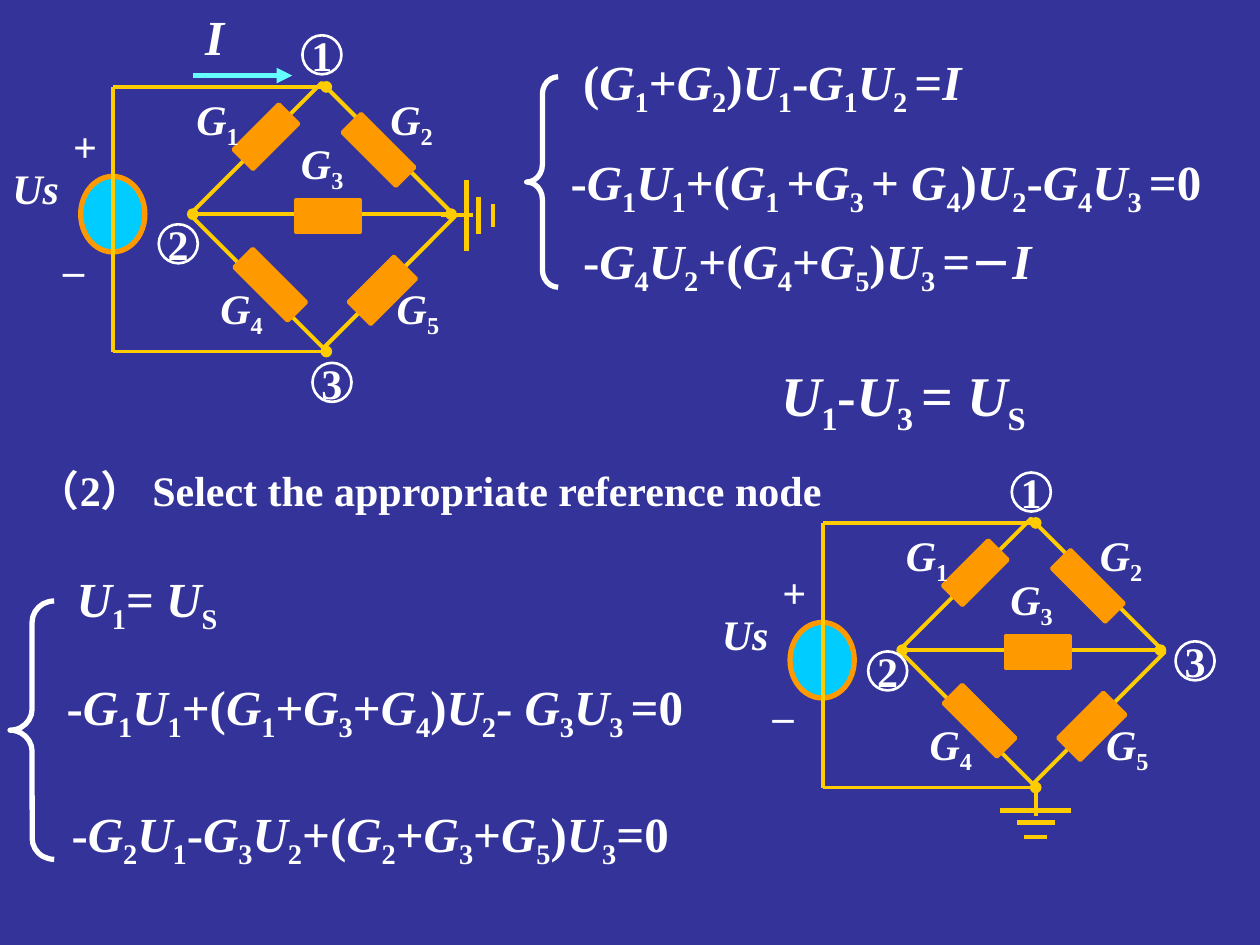
from itertools import groupby

from lxml import etree
from pptx import Presentation
from pptx import util as u
from pptx.dml.color import RGBColor
from pptx.enum import shapes, text
from pptx.oxml import ns

COLORS = {
    "ground": "333399", "ink": "FFFFFF", "wire": "FFCC00",
    "resistor": "FF9900", "source": "00CCFF", "current": "66FFFF",
}
FONT = "Times New Roman"
UNIT = 2.54  # centimetres per layout unit


def size(value):
    return u.Cm(value * UNIT)


def color(name):
    return RGBColor.from_string(COLORS[name])


def math_spans(formula):
    """Split a formula into (text, subscript, italic, wide) pieces; "_" lowers the next character."""
    marked, lowered = [], False
    for char in formula:
        if char == "_":
            lowered = True
            continue
        marked.append((char, (lowered, char.isalpha() and not lowered, char == "－")))
        lowered = False
    for style, group in groupby(marked, key=lambda item: item[1]):
        yield ("".join(char for char, _ in group), *style)


def write(shape, content, points=24, math=True, wrap=False, grow=True,
          align=text.PP_ALIGN.LEFT, anchor=text.MSO_ANCHOR.TOP):
    frame = shape.text_frame
    frame.word_wrap = wrap
    frame.vertical_anchor = anchor
    frame.auto_size = (text.MSO_AUTO_SIZE.SHAPE_TO_FIT_TEXT if grow
                       else text.MSO_AUTO_SIZE.NONE)
    para = frame.paragraphs[0]
    para.alignment = align
    pieces = math_spans(content) if math else [(content, False, False, False)]
    for piece, lowered, italic, wide in pieces:
        span = para.add_run()
        span.text = piece
        font = span.font
        font.name, font.bold, font.italic = FONT, True, italic
        font.size = u.Pt(24 if wide else points)
        font.color.rgb = color("ink")
        if lowered:
            font._element.set("baseline", "-25000")


class Painter:
    def __init__(self, page):
        self.page = page
        self.centred = {"align": text.PP_ALIGN.CENTER, "anchor": text.MSO_ANCHOR.MIDDLE}

    def title(self, content, place):
        box = self.page.shapes.title
        box.left, box.top, box.width, box.height = map(size, place)
        box.fill.solid()
        box.fill.fore_color.rgb = color("ground")
        write(box, content, math=False, wrap=True)

    def label(self, content, place, **style):
        write(self.page.shapes.add_textbox(*map(size, place)), content, **style)

    def shape(self, kind, place, line, fill=None, weight=2.25, turn=0):
        item = self.page.shapes.add_shape(kind, *map(size, place))
        item.shadow.inherit = False
        item.rotation = turn
        item.line.color.rgb = color(line)
        item.line.width = u.Pt(weight)
        if fill:
            item.fill.solid()
            item.fill.fore_color.rgb = color(fill)
        else:
            item.fill.background()
        return item

    def line(self, start, end, stroke="wire", weight=2.25, head=None, tail=None):
        item = self.page.shapes.add_connector(
            shapes.MSO_CONNECTOR.STRAIGHT, *map(size, (*start, *end)))
        item.line.color.rgb = color(stroke)
        item.line.width = u.Pt(weight)
        outline = item.line._get_or_add_ln()
        for tag, end_kind in (("a:headEnd", head), ("a:tailEnd", tail)):
            if end_kind:
                etree.SubElement(outline, ns.qn(tag)).set("type", end_kind)
        etree.SubElement(item._element.spPr, ns.qn("a:effectLst"))

    def brace(self, place, curl):
        item = self.shape(shapes.MSO_SHAPE.LEFT_BRACE, place, "ink", weight=3)
        item.adjustments[0] = curl
        item.adjustments[1] = 0.5

    def node(self, number, x, y):
        ring = self.shape(shapes.MSO_SHAPE.OVAL, (x, y, 0.31, 0.31), "ink", weight=1.5)
        write(ring, number, grow=False, **self.centred)

    def earth(self, x, y, down):
        """Draw the reference symbol, pointing down or to the right from x, y."""
        def point(along, across):
            return (x + across, y + along) if down else (x + along, y + across)

        self.line(point(0, 0), point(0.25, 0))
        for along, half, weight in ((0.2, 0.28, 3), (0.3, 0.15, 3), (0.41, 0.09, 2.25)):
            self.line(point(along, -half), point(along, half), weight=weight)

    def circuit(self, dx, dy, source_drop, nodes, earth, down):
        def moved(x, y, *extent):
            return (x + dx, y + dy, *extent)

        def lowered(x, y, *extent):
            return moved(x, y + source_drop, *extent)

        rect = shapes.MSO_SHAPE.RECTANGLE
        self.shape(rect, moved(1.81, 0.97, 1.5, 1.48), "wire", turn=45)
        for y in (0.69, 2.79):
            self.line(moved(2.59, y), moved(0.9, y), head="oval")
        self.line(moved(0.9, 0.69), moved(0.9, 2.79))
        self.line(moved(1.53, 1.7), moved(3.58, 1.7), head="oval", tail="oval")
        self.earth(*earth, down)

        resistors = (
            ("G_1", (2, 0.83, 0.22, 0.51), 45, (1.46, 0.69)),
            ("G_2", (2.9, 0.89, 0.21, 0.6), 315, (3, 0.69)),
            ("G_3", (2.35, 1.59, 0.51, 0.25), 0, (2.29, 1.04)),
            ("G_4", (2.04, 1.96, 0.21, 0.6), 315, (1.65, 2.19)),
            ("G_5", (2.91, 2.05, 0.25, 0.51), 45, (3.05, 2.19)),
        )
        for _, place, turn, _ in resistors:
            self.shape(rect, moved(*place), "resistor", "resistor", turn=turn)
        for name, _, _, spot in resistors:
            self.label(name, moved(*spot, 0.55, 0.5))

        self.shape(shapes.MSO_SHAPE.OVAL, lowered(0.64, 1.4, 0.51, 0.6),
                   "resistor", "source", weight=3)
        self.line(moved(0.9, 0.99), moved(0.9, 2.49))
        self.label("Us", lowered(0, 1.24, 0.59, 0.5), wrap=True)
        self.label("+", lowered(0.48, 0.91, 0.39, 0.5), **self.centred)
        self.label("_", lowered(0.4, 1.77, 0.37, 0.5), math=False, wrap=True, **self.centred)
        for number, spot in nodes.items():
            self.node(number, *spot)


def main():
    deck = Presentation()
    deck.slide_width, deck.slide_height = size(10), size(7.5)
    page = deck.slides.add_slide(deck.slide_layouts[5])
    page.background.fill.solid()
    page.background.fill.fore_color.rgb = color("ground")
    painter = Painter(page)

    painter.title("（2） Select the appropriate reference node", (0.2, 3.64, 7.42, 0.5))
    painter.line((1.53, 0.6), (2.32, 0.6), "current", 3, tail="triangle")
    painter.label("I", (1.53, 0, 0.63, 0.57), points=28, wrap=True)

    equations = (
        ("(G_1+G_2)U_1-G_1U_2_ =I", (4.53, 0.36, 4.1, 0.57), 28, True),
        ("-G_1U_1+(G_1_ +G_3_ + G_4)U_2-G_4U_3_ =0", (4.43, 1.15, 5.57, 0.57), 28, False),
        ("-G_4U_2+(G_4+G_5)U_3_ =－I", (4.53, 1.78, 4.1, 0.57), 28, True),
        ("U_1-U_3_ = U_S", (6.1, 2.81, 2.28, 0.63), 32, False),
        ("U_1= U_S", (0.51, 4.46, 1.36, 0.57), 28, False),
        ("-G_1U_1+(G_1+G_3+G_4)U_2- G_3U_3_ =0", (0.43, 5.32, 5.43, 0.57), 28, False),
        ("-G_2U_1-G_3U_2+(G_2+G_3+G_5)U_3=0", (0.47, 6.33, 5.24, 0.57), 28, False),
    )
    for formula, place, points, wrap in equations:
        painter.label(formula, place, points=points, wrap=wrap)
    painter.brace((4.18, 0.61, 0.25, 1.67), 0.55)
    painter.brace((0.08, 4.77, 0.35, 2.05), 0.48)

    painter.circuit(5.63, 3.46, 0.08, earth=(8.22, 6.23), down=True,
                    nodes={"1": (8.03, 3.75), "2": (6.89, 5.17), "3": (9.33, 5.09)})
    painter.circuit(0, 0, 0, earth=(3.5, 1.71), down=False,
                    nodes={"1": (2.4, 0.28), "2": (1.26, 1.78), "3": (2.48, 2.88)})
    deck.save("out.pptx")


if __name__ == "__main__":
    main()
